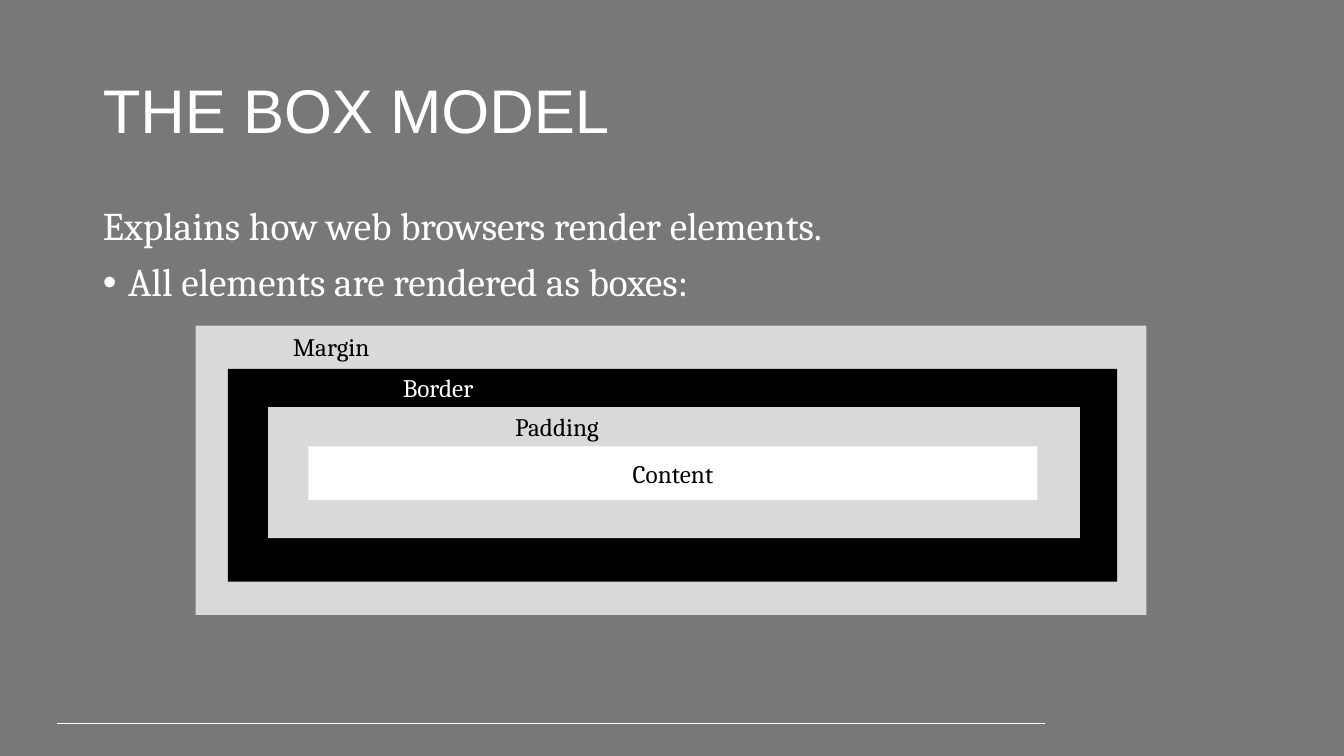
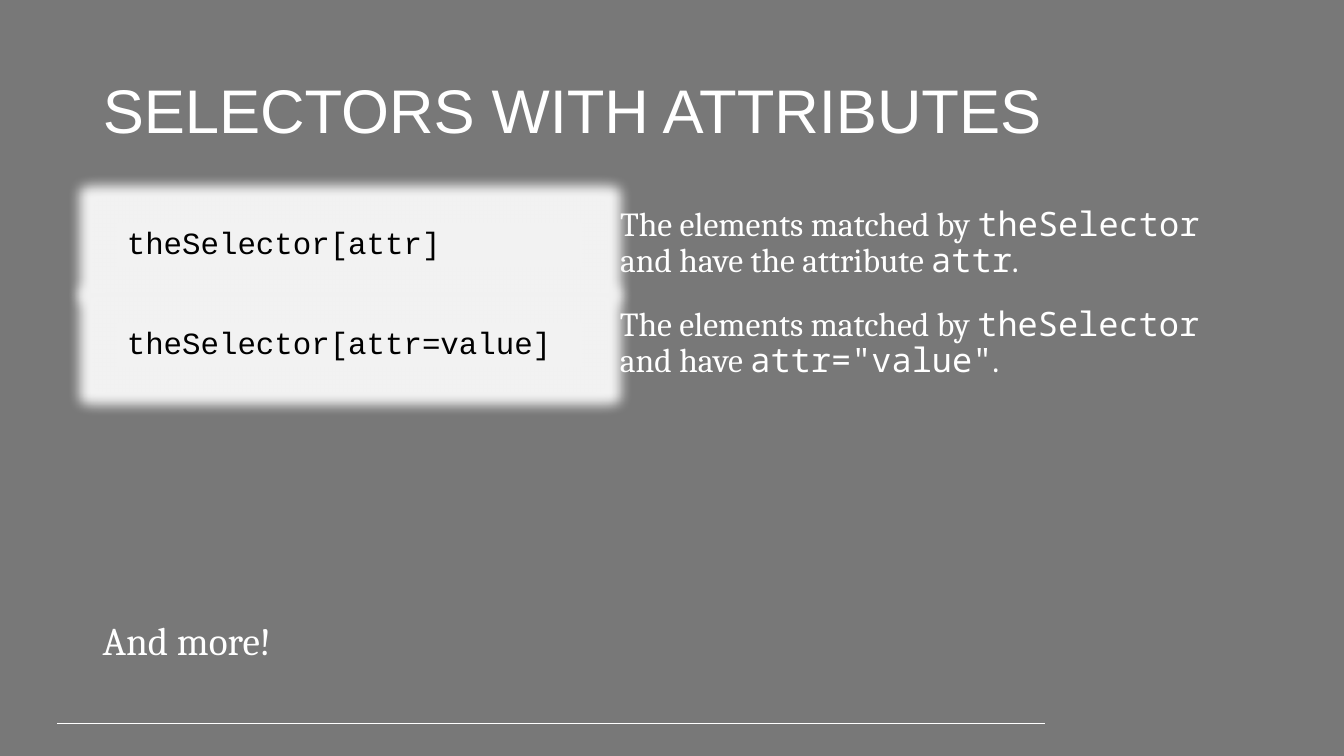
from dataclasses import dataclass

from lxml import etree
from pptx import Presentation
from pptx.dml.color import RGBColor
from pptx.enum import shapes, text
from pptx.oxml import ns
from pptx.util import Inches, Pt


@dataclass(frozen=True)
class Theme:
    background: str = "787878"
    light: str = "FFFFFF"
    dark: str = "000000"
    band: str = "D9D9D9"
    code_fill: str = "F2F2F2"
    title_font: str = "Arial"
    body_font: str = "Cambria"
    code_font: str = "Courier New"
    inline_code_font: str = "Noto Sans Mono"
    title_size: int = 44
    body_size: int = 28
    description_size: int = 24
    code_size: int = 22
    label_size: int = 18
    line_spacing: float = 0.9
    paragraph_gap: int = 10


THEME = Theme()
TITLE_AREA = (0.92, 0.4, 11.5, 1.45)
INTRO_AREA = (0.92, 2, 11.5, 1.09)
CLOSING_AREA = (0.92, 6.12, 11.5, 0.53)
RULE = (0.57, 7.18, 10.36, 7.18)
LABEL_SIZE = (2.67, 0.4)
ROW_TOP, ROW_PITCH = 2.01, 0.99

# Label, its left and top, box area, box fill, label colour
LAYERS = [
    ("Margin", (1.95, 3.24), (1.94, 3.23, 9.43, 2.87), THEME.band, THEME.dark),
    ("Border", (3.01, 3.64), (2.26, 3.66, 8.82, 2.11), THEME.dark, THEME.light),
    ("Padding", (4.19, 4.03), (2.66, 4.04, 8.05, 1.3), THEME.band, THEME.dark),
]
CONTENT_AREA = (3.06, 4.43, 7.23, 0.53)

# Code, then its description as (words, is code) pieces
SELECTORS = [
    ("theSelector[attr]",
     [("The elements matched by ", False), ("theSelector", True),
      (" and have the attribute ", False), ("attr", True), (".", False)]),
    ("theSelector[attr=value]",
     [("The elements matched by ", False), ("theSelector", True),
      (" and have ", False), ('attr="value"', True), (".", False)]),
]


def inches(values):
    return [Inches(value) for value in values]


def place(shape, area):
    shape.left, shape.top, shape.width, shape.height = inches(area)


def style(paragraph, size, color, font=None, align=text.PP_ALIGN.LEFT):
    paragraph.alignment = align
    paragraph.font.size = Pt(size)
    paragraph.font.color.rgb = RGBColor.from_string(color)
    if font:
        paragraph.font.name = font


def set_bullet(paragraph, bullet=None):
    """Give the paragraph a hanging bullet, or remove the inherited one."""
    indent = Inches(0.25) if bullet else 0
    properties = paragraph._p.get_or_add_pPr()
    properties.set("marL", str(indent))
    properties.set("indent", str(-indent))
    if bullet:
        font = etree.SubElement(properties, ns.qn("a:buFont"))
        font.set("typeface", THEME.title_font)
        etree.SubElement(properties, ns.qn("a:buChar")).set("char", bullet)
    else:
        etree.SubElement(properties, ns.qn("a:buNone"))


def set_spacing(paragraph, before=0):
    paragraph.line_spacing = THEME.line_spacing
    paragraph.space_before = Pt(before)


def prepare_frame(shape):
    frame = shape.text_frame
    frame.word_wrap = True
    frame.auto_size = text.MSO_AUTO_SIZE.NONE
    return frame


def add_text_box(slide, area):
    return slide.shapes.add_textbox(*inches(area))


def add_box(slide, area, fill):
    box = slide.shapes.add_shape(shapes.MSO_SHAPE.RECTANGLE, *inches(area))
    box.shadow.inherit = False
    box.fill.solid()
    box.fill.fore_color.rgb = RGBColor.from_string(fill)
    box.line.fill.background()
    return box


def add_glow(shape, color, radius):
    effects = shape._element.spPr.find(ns.qn("a:effectLst"))
    glow = etree.SubElement(effects, ns.qn("a:glow"))
    glow.set("rad", str(Inches(radius)))
    etree.SubElement(glow, ns.qn("a:srgbClr")).set("val", color)


def add_rule(slide):
    rule = slide.shapes.add_connector(shapes.MSO_CONNECTOR.STRAIGHT, *inches(RULE))
    rule.line.color.rgb = RGBColor.from_string(THEME.light)
    rule.line.width = Pt(0.75)
    etree.SubElement(rule._element.spPr, ns.qn("a:effectLst"))


def add_slide(deck, title):
    slide = deck.slides.add_slide(deck.slide_layouts.get_by_name("Title and Content"))
    add_rule(slide)
    place(slide.shapes.title, TITLE_AREA)
    frame = prepare_frame(slide.shapes.title)
    frame.vertical_anchor = text.MSO_ANCHOR.MIDDLE
    frame.text = title
    set_spacing(frame.paragraphs[0])
    style(frame.paragraphs[0], THEME.title_size, THEME.light, THEME.title_font)
    return slide


def write_label(shape, words, color):
    frame = prepare_frame(shape)
    frame.text = words
    style(frame.paragraphs[0], THEME.label_size, color, THEME.body_font,
          text.PP_ALIGN.CENTER)


def write_body(shape, lines):
    """Fill a shape with (words, bullet) lines."""
    frame = prepare_frame(shape)
    frame.text = "\n".join(words for words, _ in lines)
    for index, (paragraph, (_, bullet)) in enumerate(zip(frame.paragraphs, lines)):
        set_bullet(paragraph, bullet)
        set_spacing(paragraph, THEME.paragraph_gap if index else 0)
        style(paragraph, THEME.body_size, THEME.light, THEME.body_font)


def write_description(shape, pieces):
    paragraph = prepare_frame(shape).paragraphs[0]
    set_bullet(paragraph)
    set_spacing(paragraph)
    style(paragraph, THEME.description_size, THEME.light)
    for words, is_code in pieces:
        run = paragraph.add_run()
        run.text = words
        run.font.name = THEME.inline_code_font if is_code else THEME.body_font


def add_code(slide, area, code):
    box = add_box(slide, area, THEME.code_fill)
    add_glow(box, THEME.code_fill, 0.25)
    frame = prepare_frame(box)
    frame.vertical_anchor = text.MSO_ANCHOR.TOP
    frame.text = code
    set_spacing(frame.paragraphs[0])
    style(frame.paragraphs[0], THEME.code_size, THEME.dark, THEME.code_font)


def build_box_model(deck):
    slide = add_slide(deck, "THE BOX MODEL")
    intro = slide.placeholders[1]
    place(intro, INTRO_AREA)
    write_body(intro, [("Explains how web browsers render elements.", None),
                       ("All elements are rendered as boxes:", "•")])
    for label, corner, area, fill, color in LAYERS:
        add_box(slide, area, fill)
        write_label(add_text_box(slide, corner + LABEL_SIZE), label, color)
    content = add_box(slide, CONTENT_AREA, THEME.light)
    write_label(content, "Content", THEME.dark)


def build_selectors(deck):
    slide = add_slide(deck, "SELECTORS WITH ATTRIBUTES")
    for row, (code, pieces) in enumerate(SELECTORS):
        top = ROW_TOP + row * ROW_PITCH
        add_code(slide, (1.16, top + 0.2, 4.62, 0.44), code)
        area = (6.05, top, 6.3, 0.84)
        if row == 0:
            description = slide.placeholders[1]
            place(description, area)
        else:
            description = add_text_box(slide, area)
        write_description(description, pieces)
    write_body(add_text_box(slide, CLOSING_AREA), [("And more!", None)])


def main():
    deck = Presentation()
    deck.slide_width, deck.slide_height = Inches(13.33), Inches(7.5)
    backdrop = deck.slide_master.background.fill
    backdrop.solid()
    backdrop.fore_color.rgb = RGBColor.from_string(THEME.background)
    build_box_model(deck)
    build_selectors(deck)
    deck.save("out.pptx")


if __name__ == "__main__":
    main()
